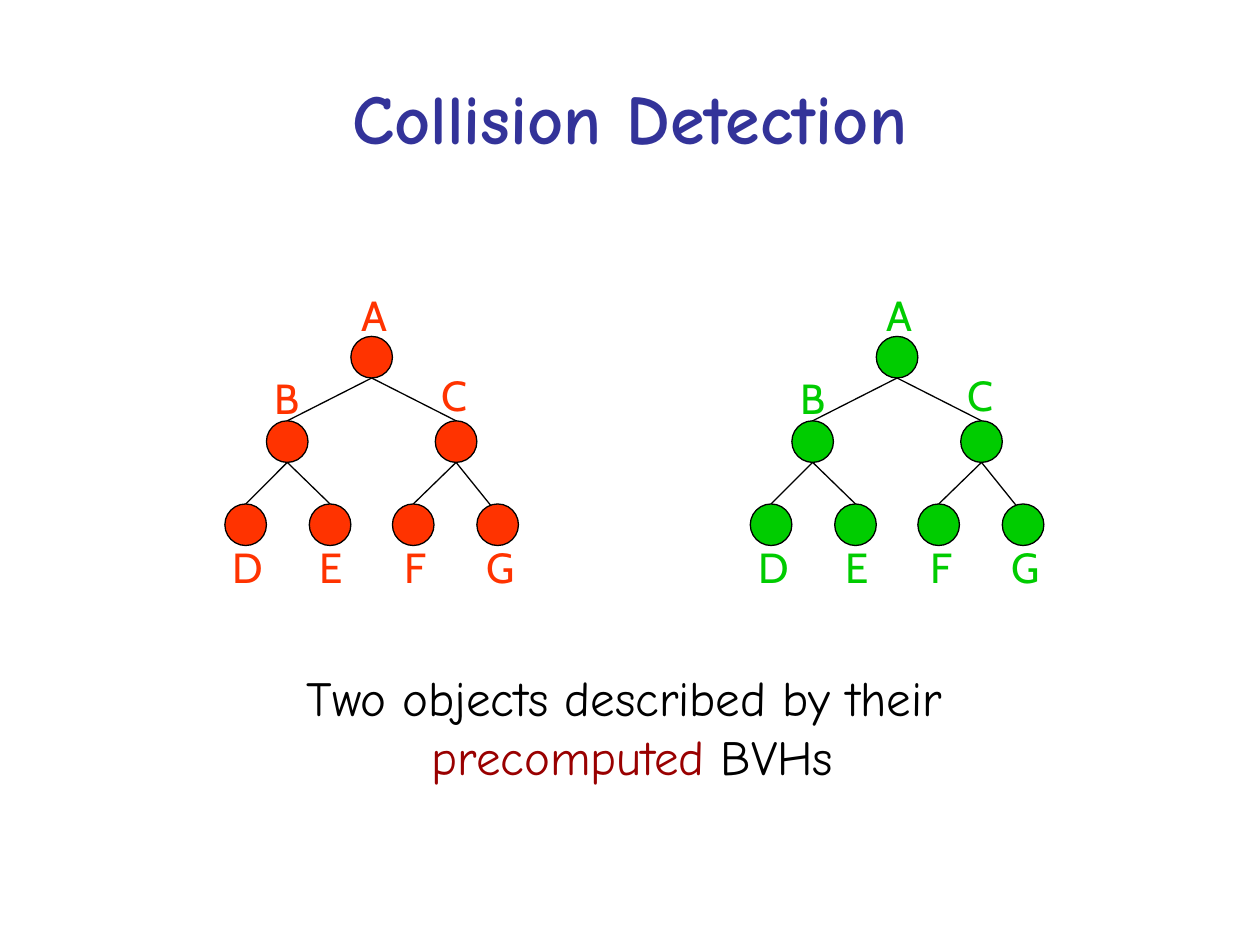
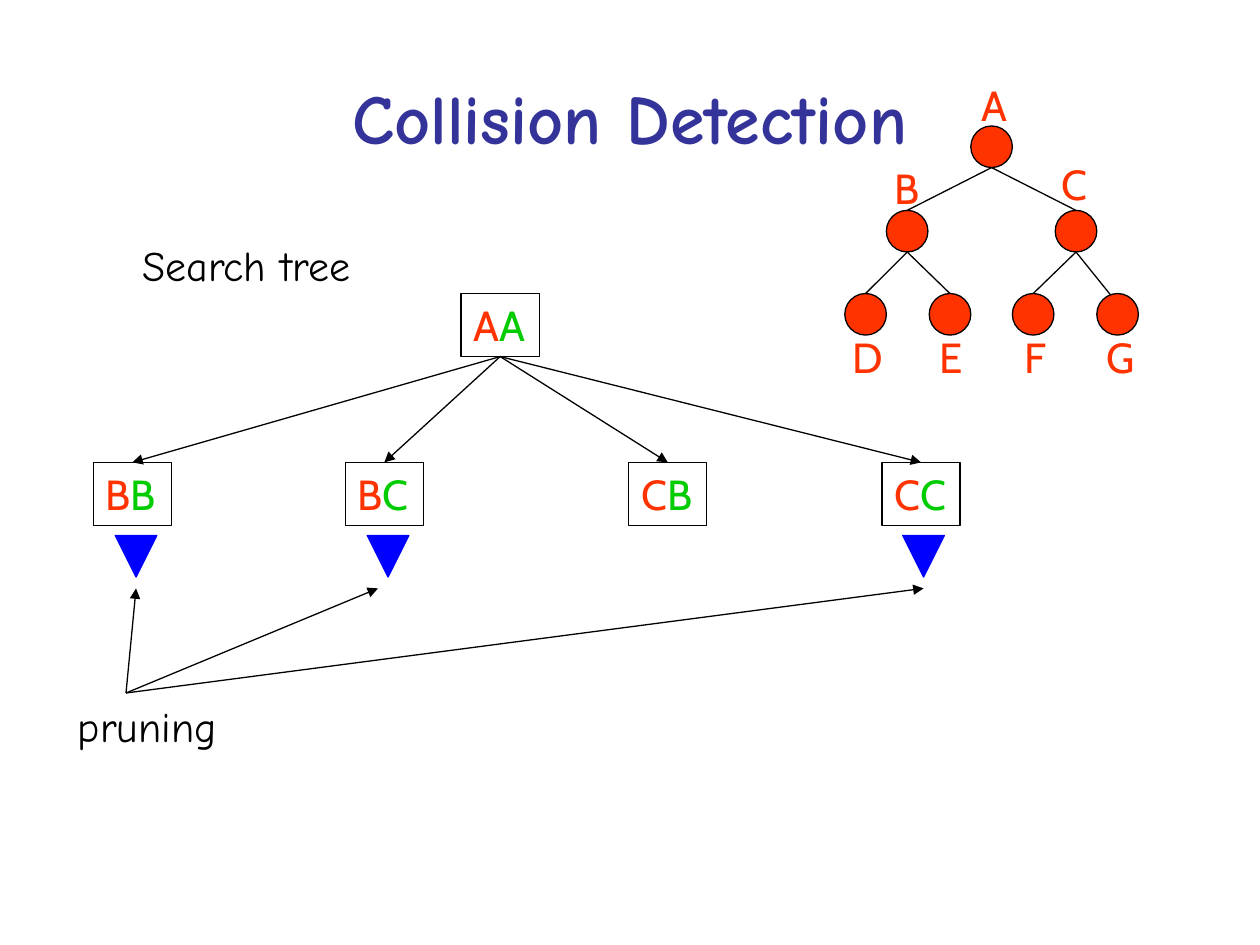
"""Build two slides on collision detection with bounding volume hierarchies."""
from dataclasses import dataclass
from typing import Any

from lxml import etree
from pptx import Presentation
from pptx.dml.color import RGBColor
from pptx.enum.shapes import MSO_CONNECTOR, MSO_SHAPE
from pptx.enum.text import MSO_ANCHOR, PP_ALIGN
from pptx.oxml.ns import qn
from pptx.util import Inches, Pt

STRAIGHT = MSO_CONNECTOR.STRAIGHT
OVAL, RECTANGLE = MSO_SHAPE.OVAL, MSO_SHAPE.RECTANGLE
TOP, MIDDLE = MSO_ANCHOR.TOP, MSO_ANCHOR.MIDDLE
LEFT, CENTER = PP_ALIGN.LEFT, PP_ALIGN.CENTER

BLACK = RGBColor(0x00, 0x00, 0x00)
NAVY = RGBColor(0x33, 0x33, 0x99)
RED = RGBColor(0xFF, 0x33, 0x00)
GREEN = RGBColor(0x00, 0xCC, 0x00)
BLUE = RGBColor(0x00, 0x00, 0xFF)
MAROON = RGBColor(0x99, 0x00, 0x00)

TITLE_FONT = {"name": "Comic Neue", "size": Pt(40), "bold": True}
CAPTION_FONT = {"name": "Comic Neue", "size": Pt(28)}
NOTE_FONT = {"name": "Comic Neue", "size": Pt(24)}
LABEL_FONT = {"name": "Cabin", "size": Pt(24)}
UNWRAPPED = {"word_wrap": False, "vertical_anchor": TOP}
CENTRED_TITLE = {"word_wrap": True, "vertical_anchor": MIDDLE}

LINE_WIDTH = Pt(0.75)
NODE_SIZE = 0.33
LABEL_WIDTH, LABEL_HEIGHT = 0.42, 0.5
PAIR_WIDTH, PAIR_HEIGHT = 0.62, 0.5
PRUNE_SIZE = 0.33
LINE_BREAK = "\n"

Point = tuple[float, float]
Run = tuple[str, RGBColor]


@dataclass(frozen=True)
class Node:
    """A tree node, placed relative to the top centre of the root."""

    name: str
    x: float
    y: float
    label_x: float
    label_y: float
    parent: str = ""
    edge_drop: float = 0.0


@dataclass(frozen=True)
class Pair:
    """A search tree node holding one volume of each object."""

    red: str
    green: str
    left: float
    top: float = 3.67


@dataclass(frozen=True)
class Prune:
    """A pruning mark and the tip of the arrow that points at it."""

    x: float
    arrow_x: float


NODES = [
    Node("A", 0, 0, 0.02, -0.42),
    Node("B", -0.67, 0.67, -0.67, 0.24, "A"),
    Node("C", 0.67, 0.67, 0.66, 0.21, "A"),
    Node("D", -1, 1.33, -0.99, 1.58, "B"),
    Node("E", -0.33, 1.33, -0.32, 1.58, "B"),
    Node("F", 0.33, 1.33, 0.35, 1.58, "C"),
    Node("G", 1, 1.33, 1.02, 1.58, "C", 0.08),
]
ROOT_PAIR = Pair("A", "A", 3.66, 2.33)
CHILD_PAIRS = [
    Pair("B", "B", 0.74),
    Pair("B", "C", 2.74),
    Pair("C", "B", 4.99),
    Pair("C", "C", 7.0),
]
PRUNES = [Prune(1.08, 1.08), Prune(3.08, 3.0), Prune(7.33, 7.33)]
PRUNE_TOP, PRUNE_TIP_Y = 4.25, 4.67
PRUNE_SOURCE = (1.0, 5.5)


def apply(target: Any, formats: dict[str, Any]) -> None:
    """Set every format value on the target."""
    for attribute, value in formats.items():
        setattr(target, attribute, value)


def write(frame: Any, runs: list[Run], font: dict[str, Any],
          layout: dict[str, Any], align: PP_ALIGN) -> None:
    """Write coloured runs into one paragraph."""
    apply(frame, layout)
    paragraph = frame.paragraphs[0]
    paragraph.alignment = align
    for text, color in runs:
        if text == LINE_BREAK:
            paragraph.add_line_break()
            continue
        run = paragraph.add_run()
        run.text = text
        apply(run.font, font)
        run.font.color.rgb = color


def add_text(slide: Any, box: tuple[float, float, float, float],
             runs: list[Run], font: dict[str, Any],
             layout: dict[str, Any] = UNWRAPPED,
             align: PP_ALIGN = LEFT) -> None:
    """Add a text box."""
    textbox = slide.shapes.add_textbox(*map(Inches, box))
    write(textbox.text_frame, runs, font, layout, align)


def outline(shape: Any, color: RGBColor = BLACK) -> None:
    """Give a shape or connector its thin line."""
    shape.line.color.rgb = color
    shape.line.width = LINE_WIDTH


def add_line(slide: Any, start: Point, end: Point, arrow: bool = False) -> Any:
    """Add a straight line, with an arrowhead at its end if asked."""
    line = slide.shapes.add_connector(STRAIGHT, *map(Inches, start + end))
    outline(line)
    if arrow:
        head = etree.SubElement(line.line._get_or_add_ln(), qn("a:tailEnd"))
        head.set("type", "triangle")
    etree.SubElement(line._element.spPr, qn("a:effectLst"))
    return line


def add_tree(slide: Any, x: float, top: float, color: RGBColor) -> None:
    """Draw a bounding volume hierarchy below the given root position."""
    by_name = {node.name: node for node in NODES}
    for node in NODES:
        if node.parent:
            parent = by_name[node.parent]
            add_line(slide, (x + parent.x, top + parent.y + NODE_SIZE),
                     (x + node.x, top + node.y + node.edge_drop))
    for node in NODES:
        box = (x + node.x - NODE_SIZE / 2, top + node.y, NODE_SIZE, NODE_SIZE)
        volume = slide.shapes.add_shape(OVAL, *map(Inches, box))
        volume.shadow.inherit = False
        volume.fill.solid()
        volume.fill.fore_color.rgb = color
        outline(volume)
        label_box = (x + node.label_x - LABEL_WIDTH / 2, top + node.label_y,
                     LABEL_WIDTH, LABEL_HEIGHT)
        add_text(slide, label_box, [(node.name, color)], LABEL_FONT,
                 align=CENTER)


def add_pair(slide: Any, pair: Pair) -> Any:
    """Draw a framed pair of volumes."""
    box = (pair.left, pair.top, PAIR_WIDTH, PAIR_HEIGHT)
    frame = slide.shapes.add_shape(RECTANGLE, *map(Inches, box))
    frame.shadow.inherit = False
    frame.fill.background()
    outline(frame)
    write(frame.text_frame, [(pair.red, RED), (pair.green, GREEN)],
          LABEL_FONT, UNWRAPPED, LEFT)
    return frame


def add_prune(slide: Any, prune: Prune) -> None:
    """Draw a downward triangle and the arrow that points at it."""
    half = PRUNE_SIZE / 2
    corners = [(Inches(x), Inches(y)) for x, y in (
        (prune.x - half, PRUNE_TOP),
        (prune.x, PRUNE_TOP + PRUNE_SIZE),
        (prune.x + half, PRUNE_TOP))]
    builder = slide.shapes.build_freeform(*corners[0], scale=1.0)
    builder.add_line_segments(corners[1:], close=True)
    mark = builder.convert_to_shape()
    mark.shadow.inherit = False
    mark.fill.solid()
    mark.fill.fore_color.rgb = BLUE
    outline(mark, BLUE)
    add_line(slide, PRUNE_SOURCE, (prune.arrow_x, PRUNE_TIP_Y), arrow=True)


def add_titled_slide(deck: Any) -> Any:
    """Add a blank slide with the shared title."""
    slide = deck.slides.add_slide(deck.slide_layouts[6])
    add_text(slide, (0.5, 0.3, 9, 1.25), [("Collision Detection", NAVY)],
             TITLE_FONT, CENTRED_TITLE, CENTER)
    return slide


def add_objects_slide(deck: Any) -> None:
    """Show the hierarchies of the two objects."""
    slide = add_titled_slide(deck)
    caption = [("Two objects described by their ", BLACK), (LINE_BREAK, BLACK),
               ("precomputed", MAROON), (" BVHs", BLACK)]
    add_text(slide, (2.33, 5.25, 5.38, 1.04), caption, CAPTION_FONT,
             align=CENTER)
    add_tree(slide, 2.95, 2.67, RED)
    add_tree(slide, 7.12, 2.67, GREEN)


def add_search_slide(deck: Any) -> None:
    """Show the search tree and its pruned branches."""
    slide = add_titled_slide(deck)
    root = add_pair(slide, ROOT_PAIR)
    for pair in CHILD_PAIRS:
        child = add_pair(slide, pair)
        branch = add_line(slide, (ROOT_PAIR.left, ROOT_PAIR.top),
                          (pair.left, pair.top), arrow=True)
        branch.begin_connect(root, 2)
        branch.end_connect(child, 0)
    add_text(slide, (1.03, 1.85, 1.87, 0.5), [("Search tree", BLACK)],
             NOTE_FONT)
    for prune in PRUNES:
        add_prune(slide, prune)
    add_text(slide, (0.52, 5.51, 1.3, 0.5), [("pruning", BLACK)], NOTE_FONT)
    add_tree(slide, 7.87, 1.0, RED)


def main() -> None:
    """Build and save the deck."""
    deck = Presentation()
    deck.slide_width, deck.slide_height = Inches(10), Inches(7.5)
    add_objects_slide(deck)
    add_search_slide(deck)
    deck.save("out.pptx")


if __name__ == "__main__":
    main()
